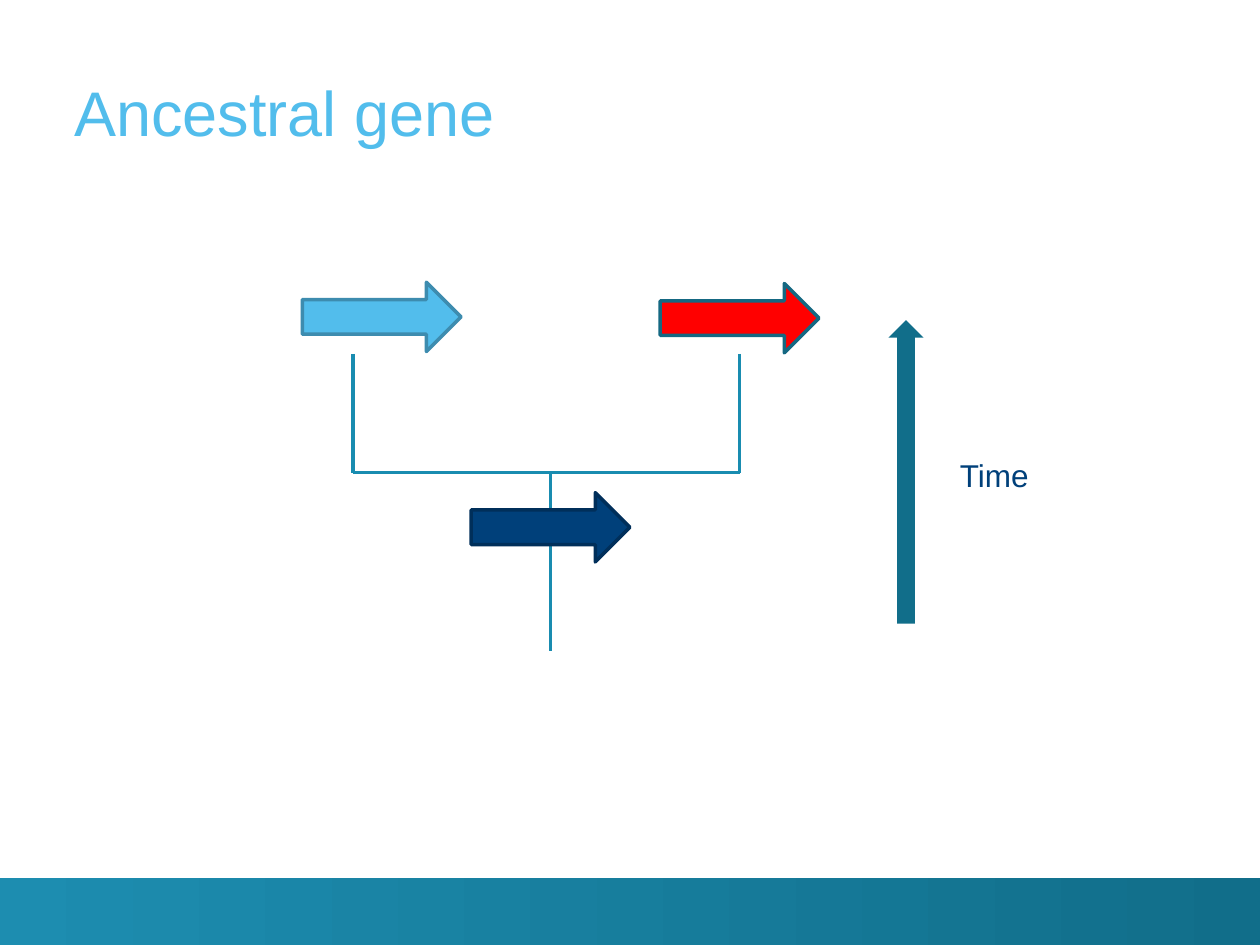
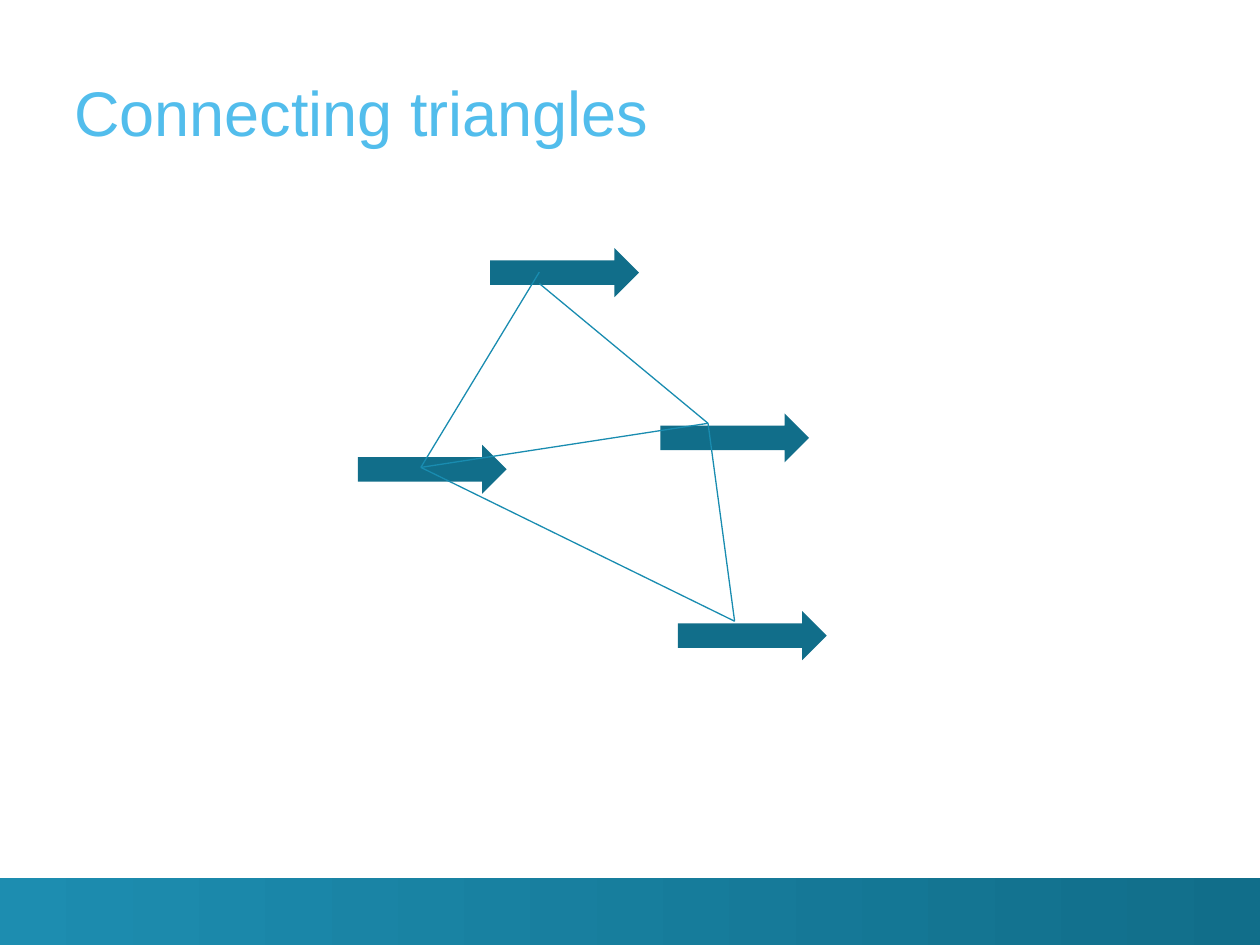
"""Build two slides on gene ancestry: a tree of genes and a linked set of arrows."""
from lxml import etree
from pptx import Presentation
from pptx.dml.color import RGBColor
from pptx.enum import shapes, text
from pptx.oxml import ns
from pptx.util import Pt

SKY = RGBColor(0x52, 0xBD, 0xEC)
SKY_EDGE = RGBColor(0x3D, 0x8C, 0xAF)
RED = RGBColor(0xFF, 0x00, 0x00)
RED_EDGE = RGBColor(0x15, 0x68, 0x82)
NAVY = RGBColor(0x00, 0x40, 0x7A)
NAVY_EDGE = RGBColor(0x00, 0x2F, 0x5A)
TEAL = RGBColor(0x11, 0x6E, 0x8A)
BAND = RGBColor(0x1D, 0x8D, 0xB0)
LINK = RGBColor(0x19, 0x8C, 0xB0)
FONT = "Arial"
WIDTH, HEIGHT = 720, 540
BAND_TOP = 501.8

GENE_SIZE = (90.7, 39.6)
GENES = [
    ((172.8, 161.3), SKY, SKY_EDGE),
    ((377.3, 162), RED, RED_EDGE),
    ((269.3, 281.5), NAVY, NAVY_EDGE),
]
LEFT, TRUNK, RIGHT = 201.6, 314.6, 422.6
TIP, FORK, ROOT = 202.3, 270, 372.2
TREE = [
    ((TRUNK, FORK), (TRUNK, ROOT)),
    ((LEFT, FORK), (RIGHT, FORK)),
    ((LEFT, TIP), (LEFT, FORK)),
    ((RIGHT, TIP), (RIGHT, FORK)),
]

NODE_SIZE = (85, 28)
NODES = [(280.1, 141.8), (377.3, 236.2), (204.5, 254.2), (387.4, 349.2)]
WEST, EAST, SOUTH = (240.5, 267.1), (404.6, 241.9), (419.8, 355)
EDGES = [
    ((308.2, 155.5), WEST),
    ((308.2, 162), EAST),
    (WEST, EAST),
    (WEST, SOUTH),
    (EAST, SOUTH),
]


def add_form(slide, kind, spot, size, fill=None, edge=None):
    form = slide.shapes.add_shape(kind, *map(Pt, spot + size))
    form.shadow.inherit = False
    if fill is not None:
        form.fill.solid()
        form.fill.fore_color.rgb = fill
    if edge is None:
        form.line.fill.background()
    else:
        form.line.color.rgb = edge
        form.line.width = Pt(2)
    return form


def add_links(slide, pairs, width):
    for start, end in pairs:
        link = slide.shapes.add_connector(
            shapes.MSO_CONNECTOR.STRAIGHT, *map(Pt, start + end))
        link.line.color.rgb = LINK
        link.line.width = Pt(width)
        etree.SubElement(link._element.spPr, ns.qn("a:effectLst"))


def add_label(slide, words, spot, size, points, color):
    frame = slide.shapes.add_textbox(*map(Pt, spot + size)).text_frame
    para = frame.paragraphs[0]
    para.text = words
    para.font.name = FONT
    para.font.size = Pt(points)
    para.font.color.rgb = color
    return frame


def add_slide(deck, title):
    slide = deck.slides.add_slide(deck.slide_layouts[6])
    band = add_form(slide, shapes.MSO_SHAPE.RECTANGLE,
                    (0, BAND_TOP), (WIDTH, HEIGHT - BAND_TOP))
    band.fill.gradient()
    band.fill.gradient_angle = 0
    for stop, color in zip(band.fill.gradient_stops, (BAND, TEAL)):
        stop.color.rgb = color
    frame = add_label(slide, title, (42.5, 14.4), (656, 70.6), 36, SKY)
    frame.word_wrap = True
    frame.vertical_anchor = text.MSO_ANCHOR.BOTTOM
    frame.margin_left = frame.margin_right = 0
    frame.margin_top = frame.margin_bottom = 0
    return slide


def add_tree(deck):
    slide = add_slide(deck, "Ancestral gene")
    add_links(slide, TREE, 2.25)
    for spot, fill, edge in GENES:
        add_form(slide, shapes.MSO_SHAPE.RIGHT_ARROW, spot, GENE_SIZE, fill, edge)
    add_form(slide, shapes.MSO_SHAPE.UP_ARROW, (507.6, 182.9), (20.2, 173.5), TEAL)
    frame = add_label(slide, "Time", (541.4, 257), (54, 28.8), 18, NAVY)
    frame.word_wrap = False


def add_net(deck):
    slide = add_slide(deck, "Connecting triangles")
    for spot in NODES:
        add_form(slide, shapes.MSO_SHAPE.RIGHT_ARROW, spot, NODE_SIZE, TEAL)
    add_links(slide, EDGES, 0.75)


def main():
    deck = Presentation()
    deck.slide_width, deck.slide_height = Pt(WIDTH), Pt(HEIGHT)
    add_tree(deck)
    add_net(deck)
    deck.save("out.pptx")


if __name__ == "__main__":
    main()
